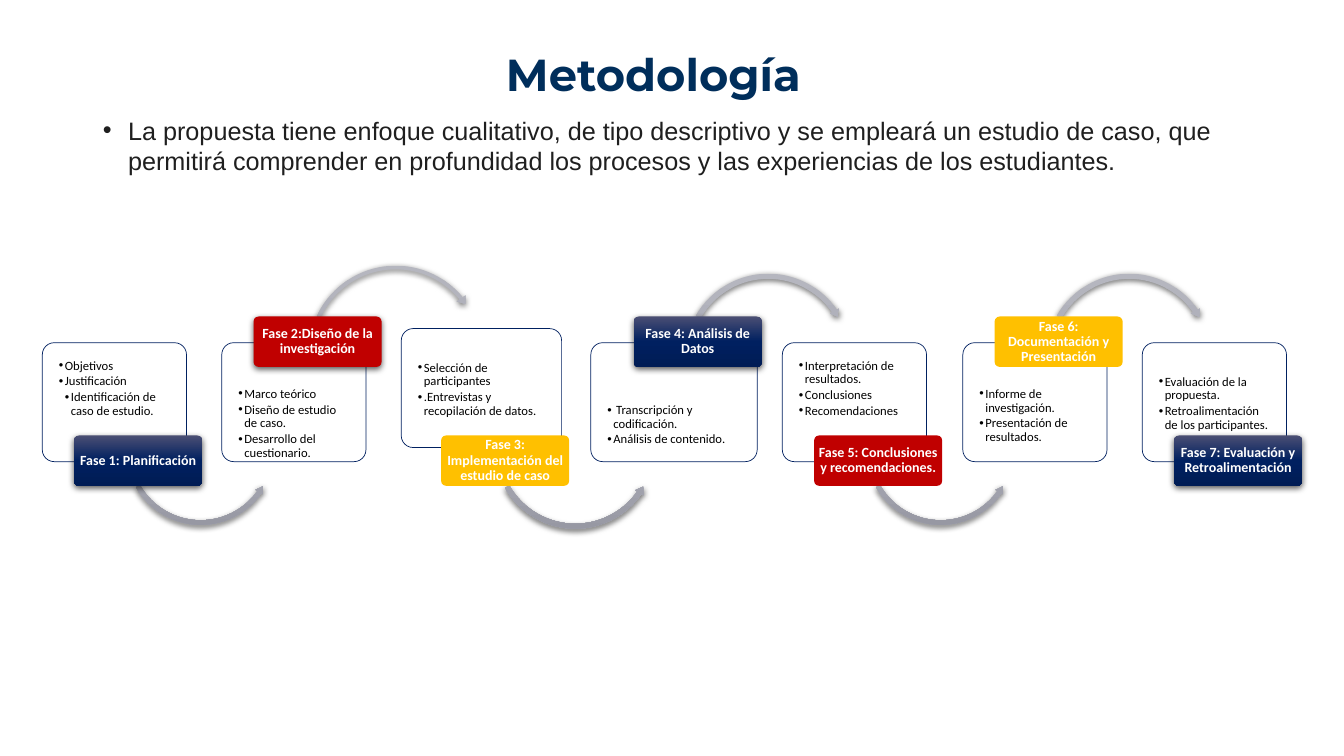
from copy import deepcopy
from lxml import etree
from pptx import Presentation
from pptx.dml.color import RGBColor
from pptx.enum.shapes import MSO_SHAPE
from pptx.enum.text import MSO_ANCHOR, MSO_AUTO_SIZE, PP_ALIGN
from pptx.oxml.ns import qn
from pptx.util import Inches, Pt

CARD = MSO_SHAPE.ROUNDED_RECTANGLE
ARC_UP, ARC_DOWN = MSO_SHAPE.CIRCULAR_ARROW, MSO_SHAPE.LEFT_CIRCULAR_ARROW
TOP, MIDDLE = MSO_ANCHOR.TOP, MSO_ANCHOR.MIDDLE
LEFT, CENTER = PP_ALIGN.LEFT, PP_ALIGN.CENTER

TITLE = "Metodología "
INTRO = ("La propuesta tiene enfoque cualitativo, de tipo descriptivo y se empleará "
         "un estudio de caso, que permitirá comprender en profundidad los procesos "
         "y las experiencias de los estudiantes.")
NAVY = ("4B4F74", "002060", "001C55")
GREY = ("B5B6BF", "ABACB7", "9798A3")
RED, GOLD = "C00000", "FFC000"

PHASES = [
    dict(name="Fase 1: Planificación", x=0.42, color=NAVY, shadow=True,
         items=[("Objetivos", 1), ("Justificación", 1),
                ("Identificación de caso de estudio.", 2)], arc=(1.23, 3.71, 1.52)),
    dict(name="Fase 2:Diseño de la investigación", x=2.2, color=RED, shadow=True,
         items=[("Marco teórico", 1), ("Diseño de estudio de caso.", 1),
                ("Desarrollo del cuestionario.", 1)], arc=(3.03, 2.6, 1.79)),
    dict(name="Fase 3: Implementación del estudio de caso", x=3.98, y=3.26, w=1.59,
         color=GOLD, drop=0.16,
         items=[("Selección de participantes", 1),
                (".Entrevistas y recopilación de datos.", 1)], arc=(4.88, 3.62, 1.65)),
    dict(name="Fase 4: Análisis de Datos", x=5.86, w=1.65, color=NAVY, shadow=True, drop=0.16,
         items=[(" Transcripción y codificación.", 1), ("Análisis de contenido.", 1)],
         arc=(6.77, 2.69, 1.7)),
    dict(name="Fase 5: Conclusiones y recomendaciones.", x=7.76, color=RED,
         items=[("Interpretación de resultados.", 1), ("Conclusiones", 1),
                ("Recomendaciones", 1)], arc=(8.57, 3.71, 1.52)),
    dict(name="Fase 6: Documentación y Presentación", x=9.55, color=GOLD,
         items=[("Informe de investigación.", 1), ("Presentación de resultados.", 1)],
         arc=(10.35, 2.69, 1.7)),
    dict(name="Fase 7: Evaluación y Retroalimentación", x=11.33, color=NAVY, shadow=True,
         drop=0.16, items=[("Evaluación de la propuesta.", 1),
                           ("Retroalimentación de los participantes.", 1)]),
]
ARC_ADJ = {
    1.52: (0.03, 3.42, 21.18, 90.25, 0.03),
    1.65: (0.03, 3.14, 20.9, 90.25, 0.03),
    1.7: (0.03, 3.03, 195.21, 125.76, 0.03),
    1.79: (0.02, 2.87, 192.3, 122.68, 0.03),
}
CARD_Y, CARD_W, CARD_H = 3.4, 1.43, 1.18
TAG_W, TAG_H, TAG_SHIFT = 1.27, 0.5, 0.4
TAG_UP_Y, TAG_DOWN_Y = 3.14, 4.32


def rgb(value):
    return RGBColor.from_string(value)


def sub(parent, tag, **attrs):
    return etree.SubElement(parent, qn(tag), {k: str(v) for k, v in attrs.items()})


def paint(sp, color):
    if isinstance(color, str):
        sp.fill.solid()
        sp.fill.fore_color.rgb = rgb(color)
        return
    sp.fill.gradient()
    sp.fill.gradient_angle = 270
    stops = sp._element.spPr.find(qn("a:gradFill")).find(qn("a:gsLst"))
    stops.insert(1, deepcopy(stops[0]))
    for stop, position, value in zip(sp.fill.gradient_stops, (0, 0.5, 1), color):
        stop.position = position
        stop.color.rgb = rgb(value)


def add_shape(kind, box, color, adj, shadow=False, line=None):
    sp = s.shapes.add_shape(kind, *map(Inches, box))
    for i, value in enumerate(adj):
        sp.adjustments[i] = value
    paint(sp, color)
    if line:
        sp.line.color.rgb = rgb(line)
        sp.line.width = Pt(0.5)
    else:
        sp.line.fill.background()
    sp.shadow.inherit = False
    if shadow:
        effects = sp._element.spPr.find(qn("a:effectLst"))
        outer = sub(effects, "a:outerShdw", blurRad=Pt(4.5), dist=Pt(1.5),
                    dir=5400000, rotWithShape=0)
        sub(sub(outer, "a:srgbClr", val="000000"), "a:alpha", val=63000)
    return sp


def set_frame(tf, anchor, insets):
    tf.word_wrap = True
    tf.auto_size = MSO_AUTO_SIZE.NONE
    tf.vertical_anchor = anchor
    for side, value in zip(("left", "top", "right", "bottom"), insets):
        setattr(tf, "margin_" + side, Inches(value))


def write(p, text, font, color, para):
    r = p.add_run()
    r.text = text
    for key, value in font.items():
        setattr(r.font, key, value)
    r.font.color.rgb = rgb(color)
    for key, value in para.items():
        setattr(p, key, value)


def add_bullet(p, color, indent, hang):
    pPr = p._p.get_or_add_pPr()
    pPr.set("marL", str(Inches(indent)))
    pPr.set("indent", str(-Inches(hang)))
    sub(sub(pPr, "a:buClr"), "a:srgbClr", val=color)
    sub(pPr, "a:buFont", typeface="Arial")
    sub(pPr, "a:buChar", char="•")


def place(sp, box):
    for key, value in zip(("left", "top", "width", "height"), box):
        setattr(sp, key, Inches(value))


prs = Presentation()
prs.slide_width, prs.slide_height = Inches(13.33), Inches(7.5)
s = prs.slides.add_slide(prs.slide_layouts[1])
title, body = s.shapes.title, s.placeholders[1]

place(title, (1.19, 0.3, 10.71, 0.92))
set_frame(title.text_frame, MIDDLE, (0.1, 0.05, 0.1, 0.05))
write(title.text_frame.paragraphs[0], TITLE, dict(name="Montserrat", size=Pt(32), bold=True),
      "002E5B", dict(alignment=CENTER, line_spacing=0.9))

place(body, (0.92, 1.09, 11.5, 0.92))
set_frame(body.text_frame, TOP, (0.1, 0.05, 0.1, 0.05))
p = body.text_frame.paragraphs[0]
write(p, INTRO, dict(name="Arial", size=Pt(18)), "1F1F1F", dict(space_before=Pt(10)))
add_bullet(p, "1F1F1F", 0.25, 0.25)

for n, phase in enumerate(PHASES):
    tag_up = n % 2 == 1
    width = phase.get("w", CARD_W)
    card = add_shape(CARD, (phase["x"], phase.get("y", CARD_Y), width, CARD_H),
                     "FFFFFF", (0.1,), line="002060")
    sub(card._element.spPr.find(qn("a:solidFill"))[0], "a:alpha", val=90000)
    tf = card.text_frame
    set_frame(tf, TOP, (0.13, (0.41 if tag_up else 0.13) + phase.get("drop", 0), 0.13, 0))
    for i, (text, level) in enumerate(phase["items"]):
        p = tf.add_paragraph() if i else tf.paragraphs[0]
        write(p, text, dict(name="Calibri", size=Pt(9)), "000000",
              dict(alignment=LEFT, level=level, line_spacing=0.9, space_after=Pt(1.5)))
        add_bullet(p, "000000", 0.06 * level, 0.06)

    if "arc" in phase:
        x, y, size = phase["arc"]
        add_shape(ARC_UP if tag_up else ARC_DOWN, (x, y, size, size), GREY,
                  ARC_ADJ[size], shadow=True)

    tag = add_shape(CARD, (phase["x"] + width / 2 - TAG_SHIFT,
                           TAG_UP_Y if tag_up else TAG_DOWN_Y, TAG_W, TAG_H),
                    phase["color"], (0.1,), shadow=phase.get("shadow", False))
    set_frame(tag.text_frame, MIDDLE, (0.02, 0.01, 0.02, 0.01))
    write(tag.text_frame.paragraphs[0], phase["name"],
          dict(name="Calibri", size=Pt(10), bold=True), "FFFFFF",
          dict(alignment=CENTER, line_spacing=0.9))

prs.save("out.pptx")
